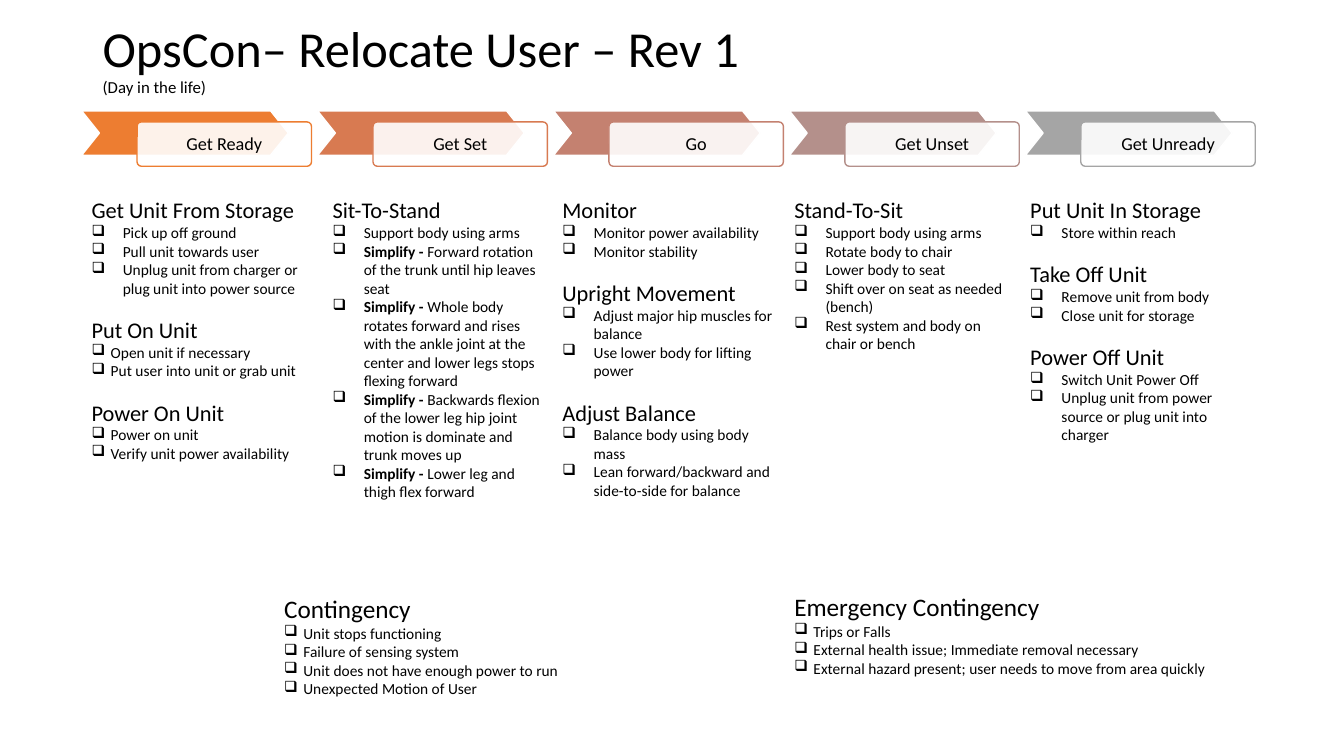
import pptx
import pptx.dml.color
import pptx.enum.shapes
import pptx.enum.text
import pptx.util
from lxml import etree
from pptx.oxml.ns import qn

Inches = pptx.util.Inches
Shapes = pptx.enum.shapes.MSO_SHAPE
Align = pptx.enum.text.PP_ALIGN
Anchor = pptx.enum.text.MSO_ANCHOR

TITLE = "OpsCon– Relocate User – Rev 1"
SUBTITLE = "(Day in the life)"
PHASES = [
    ("Get Ready", "ED7D31"),
    ("Get Set", "D87A51"),
    ("Go", "C48170"),
    ("Get Unset", "B4908B"),
    ("Get Unready", "A5A5A5"),
]
WIDE, TIGHT = 0.31, 0.19
SIMPLIFY = "Simplify - "
CHECKLISTS = [
    ((0.81, 1.9, 2.3, 2.76), 16, [
        ("Get Unit From Storage", WIDE, [
            "Pick up off ground",
            "Pull unit towards user",
            "Unplug unit from charger or plug unit into power source"]),
        ("Put On Unit", TIGHT, [
            "Open unit if necessary",
            "Put user into unit or grab unit"]),
        ("Power On Unit", TIGHT, [
            "Power on unit",
            "Verify unit power availability"]),
    ]),
    ((3.2, 1.9, 2.3, 3.15), 16, [
        ("Sit-To-Stand", WIDE, [
            "Support body using arms",
            SIMPLIFY + "Forward rotation of the trunk until hip leaves seat",
            SIMPLIFY + "Whole body rotates forward and rises with the ankle joint "
            "at the center and lower legs stops flexing forward",
            SIMPLIFY + "Backwards flexion of the lower leg hip joint motion is "
            "dominate and trunk moves up",
            SIMPLIFY + "Lower leg and thigh flex forward"]),
    ]),
    ((5.48, 1.9, 2.3, 3.13), 16, [
        ("Monitor", WIDE, [
            "Monitor power availability",
            "Monitor stability"]),
        ("Upright Movement", WIDE, [
            "Adjust major hip muscles for balance",
            "Use lower body for lifting power"]),
        ("Adjust Balance", WIDE, [
            "Balance body using body mass",
            "Lean forward/backward and side-to-side for balance"]),
    ]),
    ((7.78, 1.9, 2.3, 1.85), 16, [
        ("Stand-To-Sit", WIDE, [
            "Support body using arms",
            "Rotate body to chair",
            "Lower body to seat",
            "Shift over on seat as needed (bench)",
            "Rest system and body on chair or bench"]),
    ]),
    ((10.12, 1.9, 2.3, 2.57), 16, [
        ("Put Unit In Storage", WIDE, [
            "Store within reach"]),
        ("Take Off Unit", WIDE, [
            "Remove unit from body",
            "Close unit for storage"]),
        ("Power Off Unit", WIDE, [
            "Switch Unit Power Off",
            "Unplug unit from power source or plug unit into charger"]),
    ]),
    ((2.72, 5.84, 3.55, 1.14), 18, [
        ("Contingency", TIGHT, [
            "Unit stops functioning",
            "Failure of sensing system",
            "Unit does not have enough power to run",
            "Unexpected Motion of User"]),
    ]),
    ((7.78, 5.82, 4.4, 1.14), 18, [
        ("Emergency Contingency", TIGHT, [
            "Trips or Falls",
            "External health issue; Immediate removal necessary",
            "External hazard present; user needs to move from area quickly"]),
    ]),
]
PHASE_LEFT, PHASE_STEP = 0.81, 2.34
SECTION_GAP = 13.4


def color(value):
    return pptx.dml.color.RGBColor.from_string(value)


def apply(target, formats):
    for name, value in formats.items():
        setattr(target, name, value)


def write(paragraph, text, size, bold=False):
    run = paragraph.add_run()
    run.text = text
    apply(run.font, {"name": "Calibri", "size": pptx.util.Pt(size), "bold": bold})
    run.font.color.rgb = color("000000")


def add_text(slide, box, formats):
    frame = slide.shapes.add_textbox(*map(Inches, box)).text_frame
    apply(frame, {"word_wrap": True, **formats})
    return frame


def next_paragraph(frame):
    first = frame.paragraphs[0]
    return frame.add_paragraph() if first.runs else first


def add_shape(slide, preset, box, adjustment, fill, line):
    shape = slide.shapes.add_shape(preset, *map(Inches, box))
    shape.shadow.inherit = False
    shape.adjustments[0] = adjustment
    shape.fill.solid()
    shape.fill.fore_color.rgb = color(fill)
    shape.line.color.rgb = color(line)
    shape.line.width = pptx.util.Pt(1)
    return shape


def add_phase(slide, left, label, accent):
    add_shape(slide, Shapes.CHEVRON, (left, 1.1, 2.05, 0.44), 0.4, accent, "FFFFFF")
    card = add_shape(slide, Shapes.ROUNDED_RECTANGLE,
                     (left + 0.55, 1.21, 1.73, 0.44), 0.1, "FFFFFF", accent)
    tint = card.fill._xPr.find(qn("a:solidFill"))[0]
    etree.SubElement(tint, qn("a:alpha"), val="90000")
    apply(card.text_frame, {"vertical_anchor": Anchor.MIDDLE, "word_wrap": True})
    paragraph = card.text_frame.paragraphs[0]
    apply(paragraph, {"alignment": Align.CENTER, "line_spacing": 0.9})
    write(paragraph, label, 13)


def add_item(frame, text, indent):
    paragraph = frame.add_paragraph()
    properties = paragraph._p.get_or_add_pPr()
    properties.set("marL", str(Inches(indent)))
    properties.set("indent", str(-Inches(indent)))
    etree.SubElement(properties, qn("a:buChar"), char="❑")
    if text.startswith(SIMPLIFY):
        write(paragraph, SIMPLIFY, 11, True)
    write(paragraph, text.removeprefix(SIMPLIFY), 11)


def add_checklist(slide, box, heading_size, sections):
    frame = add_text(slide, box, {
        "auto_size": pptx.enum.text.MSO_AUTO_SIZE.SHAPE_TO_FIT_TEXT})
    for number, (heading, indent, items) in enumerate(sections):
        paragraph = next_paragraph(frame)
        if number:
            paragraph.space_before = pptx.util.Pt(SECTION_GAP)
        write(paragraph, heading, heading_size)
        for item in items:
            add_item(frame, item, indent)


def main():
    deck = pptx.Presentation()
    apply(deck, {"slide_width": Inches(13.33), "slide_height": Inches(7.5)})
    slide = deck.slides.add_slide(deck.slide_layouts[6])

    header = add_text(slide, (0.92, 0.15, 11.5, 0.9),
                      {"vertical_anchor": Anchor.MIDDLE})
    for text, size in ((TITLE, 36), (SUBTITLE, 12)):
        paragraph = next_paragraph(header)
        paragraph.line_spacing = 0.9
        write(paragraph, text, size)

    for index, (label, accent) in enumerate(PHASES):
        add_phase(slide, PHASE_LEFT + index * PHASE_STEP, label, accent)
    for box, heading_size, sections in CHECKLISTS:
        add_checklist(slide, box, heading_size, sections)
    deck.save("out.pptx")


if __name__ == "__main__":
    main()
